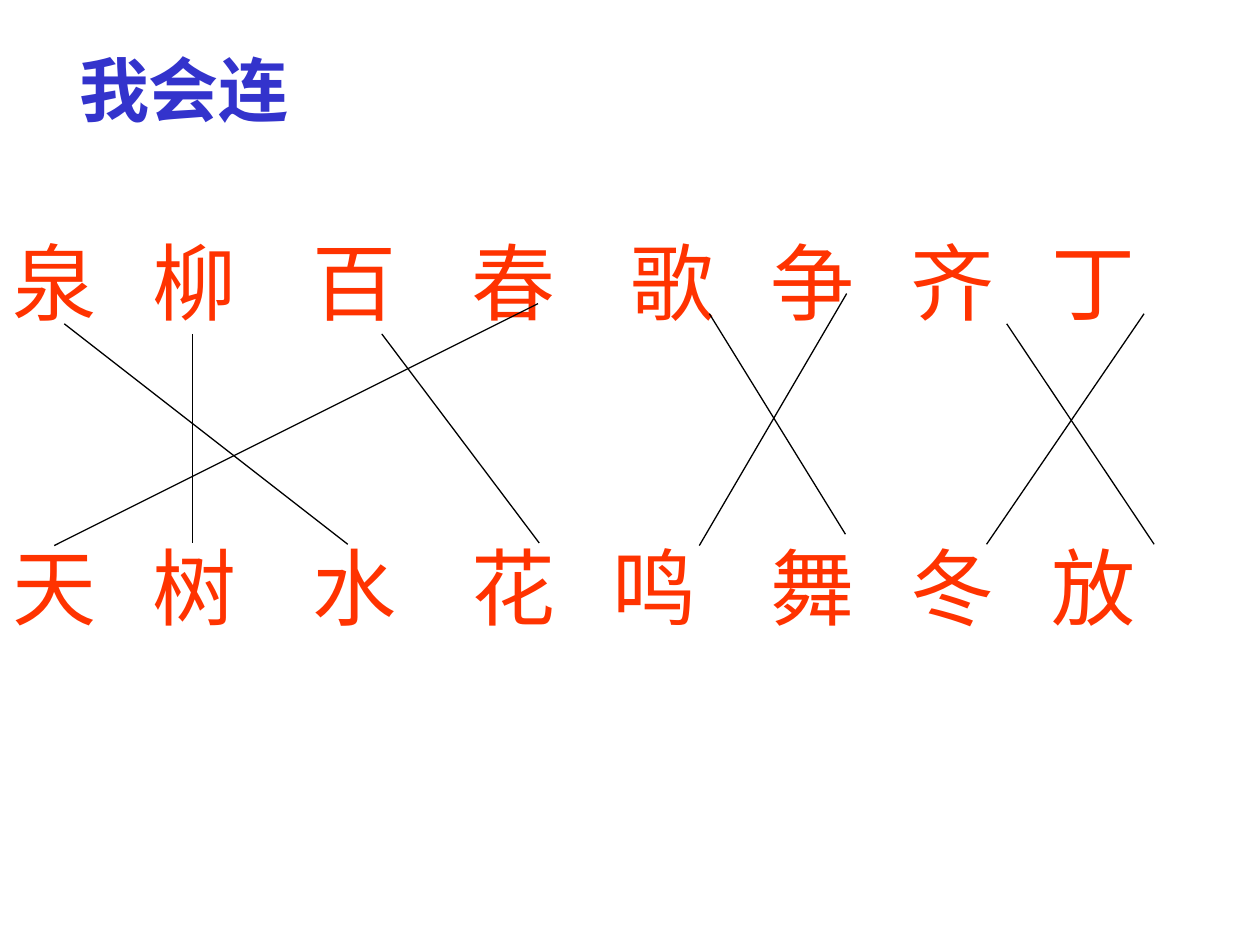
from dataclasses import dataclass

from lxml.etree import SubElement
from pptx import Presentation
from pptx.dml.color import RGBColor
from pptx.enum.shapes import MSO_CONNECTOR
from pptx.enum.text import MSO_ANCHOR, MSO_AUTO_SIZE, PP_ALIGN
from pptx.oxml.ns import qn
from pptx.util import Inches, Pt


@dataclass(frozen=True)
class Theme:
    font: str = "Times New Roman"
    title_color: RGBColor = RGBColor(0x33, 0x33, 0xCC)
    word_color: RGBColor = RGBColor(0xFF, 0x33, 0x00)
    line_color: RGBColor = RGBColor(0, 0, 0)
    title_size: int = 40
    word_size: int = 48
    line_width: float = 0.75
    row_gap: int = 117


@dataclass(frozen=True)
class Box:
    """Left, top, width and height in grid units."""
    left: float
    top: float
    width: float
    height: float


THEME = Theme()
COLUMNS, ROWS = 100, 75
UNIT = Inches(10) // COLUMNS

WORD_ROWS = ["泉柳百春歌争齐丁", "天树水花鸣舞冬放"]
# Tab stops of the second to eighth character in each row
TAB_STOPS = [
    [11.1, 23.8, 36.4, 49.1, 60.2, 71.3, 82.5],
    [11.1, 23.8, 36.4, 47.6, 60.2, 71.3, 82.5],
]
# Ends of each matching line: upper x, y and lower x, y within the board
MATCHES = [
    (5.1, 7.9, 27.6, 25.4),
    (15.3, 8.7, 15.3, 25.3),
    (30.3, 8.7, 42.8, 25.3),
    (42.7, 6.3, 4.3, 25.5),
    (56.3, 7.1, 67.1, 24.6),
    (67.2, 5.5, 55.5, 25.5),
    (79.9, 7.9, 91.6, 25.4),
    (90.8, 7.1, 78.3, 25.4),
]


def grid(units):
    return round(units * UNIT)


def style_font(paragraph, size, color, bold=False):
    for run in paragraph.runs:
        run.font.name = THEME.font
        run.font.size = Pt(size)
        run.font.bold = bold
        run.font.color.rgb = color


def add_tab_stops(paragraph, stops):
    properties = paragraph._p.get_or_add_pPr()
    tab_list = SubElement(properties, qn("a:tabLst"))
    for stop in stops:
        SubElement(tab_list, qn("a:tab"), pos=str(grid(stop)), algn="l")


def place_title(slide, box):
    title = slide.shapes.title
    title.left, title.top = grid(box.left), grid(box.top)
    title.width, title.height = grid(box.width), grid(box.height)
    text_frame = title.text_frame
    text_frame.text = "我会连"
    text_frame.word_wrap = False
    text_frame.auto_size = MSO_AUTO_SIZE.NONE
    text_frame.vertical_anchor = MSO_ANCHOR.MIDDLE
    paragraph = text_frame.paragraphs[0]
    paragraph.alignment = PP_ALIGN.CENTER
    style_font(paragraph, THEME.title_size, THEME.title_color, bold=True)


def place_words(slide, box):
    words = slide.shapes.add_textbox(
        grid(box.left), grid(box.top), grid(box.width), grid(box.height))
    text_frame = words.text_frame
    text_frame.word_wrap = True
    for index, (characters, stops) in enumerate(zip(WORD_ROWS, TAB_STOPS)):
        if index:
            paragraph = text_frame.add_paragraph()
            paragraph.space_before = Pt(THEME.row_gap)
        else:
            paragraph = text_frame.paragraphs[0]
        add_tab_stops(paragraph, stops)
        paragraph.text = "\t".join(characters)
        style_font(paragraph, THEME.word_size, THEME.word_color)


def place_matches(slide, box):
    for start_x, start_y, end_x, end_y in MATCHES:
        line = slide.shapes.add_connector(
            MSO_CONNECTOR.STRAIGHT,
            grid(box.left + start_x), grid(box.top + start_y),
            grid(box.left + end_x), grid(box.top + end_y))
        line.line.color.rgb = THEME.line_color
        line.line.width = Pt(THEME.line_width)
        SubElement(line._element.spPr, qn("a:effectLst"))


def main():
    presentation = Presentation()
    presentation.slide_width = UNIT * COLUMNS
    presentation.slide_height = UNIT * ROWS
    slide = presentation.slides.add_slide(presentation.slide_layouts[5])

    # Heading
    place_title(slide, Box(2, 2.1, 25.2, 9.9))

    # Matching exercise: two rows of characters joined by lines
    board = Box(0, 17.8, 96.7, 33.4)
    place_words(slide, board)
    place_matches(slide, board)

    presentation.save("out.pptx")


if __name__ == "__main__":
    main()
